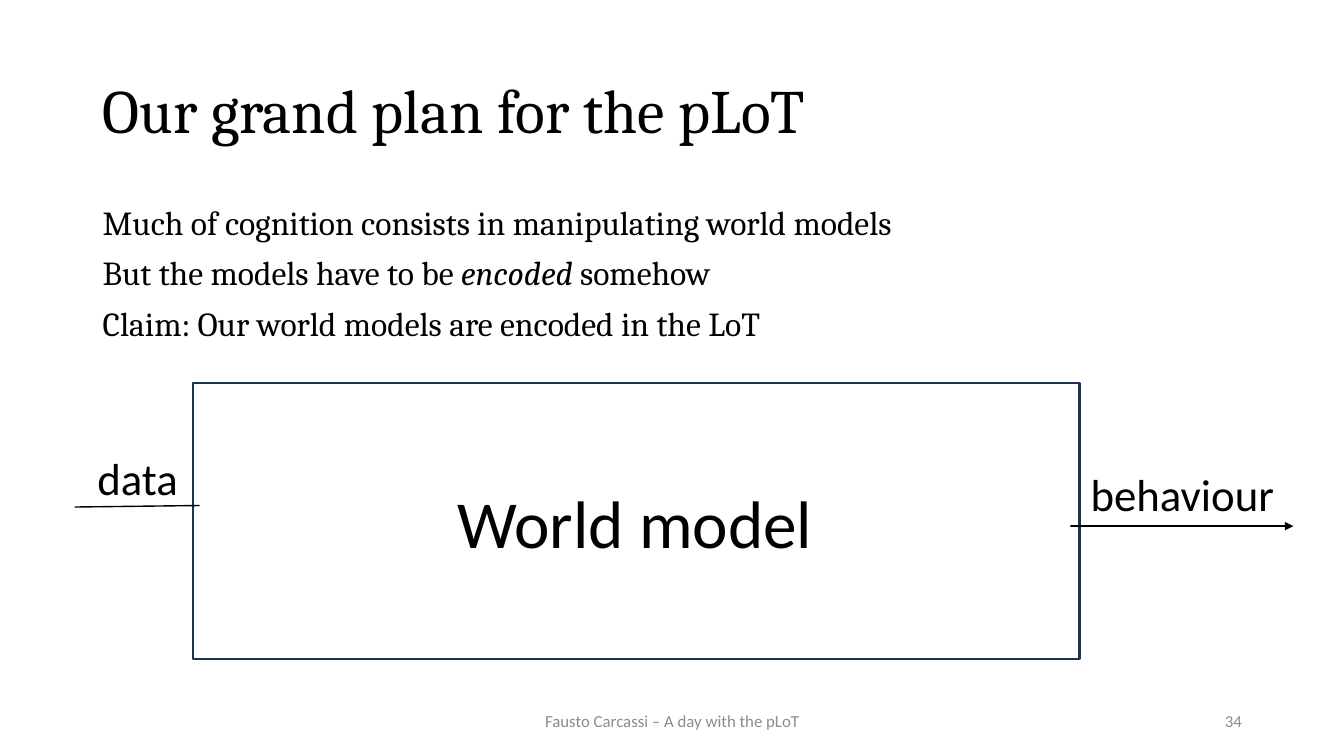
from typing import NamedTuple, Optional

from lxml.etree import SubElement
from pptx import Presentation
from pptx.dml.color import RGBColor
from pptx.enum.shapes import MSO_CONNECTOR, MSO_SHAPE
from pptx.enum.text import MSO_ANCHOR, PP_ALIGN
from pptx.oxml.ns import qn
from pptx.util import Inches, Pt

WIDTH, HEIGHT = Inches(13.33), Inches(7.5)
BLACK, GREY, NAVY, WHITE = "000000", "8C8C8C", "1E3256", "FFFFFF"
SERIF, SANS = "Cambria", "Calibri"


class Area(NamedTuple):
    """Left, top, width and height in percent of the slide."""
    left: float
    top: float
    width: float
    height: float


class Copy(NamedTuple):
    """Lines of text with one look; asterisks enclose italics."""
    area: Area
    lines: list[str]
    size: int
    font: str = SANS
    color: str = BLACK
    align: PP_ALIGN = PP_ALIGN.CENTER
    anchor: MSO_ANCHOR = MSO_ANCHOR.MIDDLE
    spacing: Optional[float] = None
    before: int = 0
    wrap: bool = True


class Arrow(NamedTuple):
    """Start and tip in percent of the slide."""
    x1: float
    y1: float
    x2: float
    y2: float


HEADING = Copy(Area(6.9, 5.33, 86.25, 19.33), ["Our grand plan for the pLoT"],
               44, SERIF, align=PP_ALIGN.LEFT, spacing=0.9)
FOOTER = Copy(Area(33.15, 92.67, 33.75, 5.33),
              ["Fausto Carcassi – A day with the pLoT"], 12, color=GREY)
PAGE_NUMBER = Copy(Area(70.65, 92.67, 22.5, 5.33), ["34"], 12, color=GREY,
                   align=PP_ALIGN.RIGHT)
FRAME = Area(14.33, 50.67, 66, 36.53)
DATA_ARROW = Arrow(5.55, 67.07, 18.15, 66.8)
DATA = Copy(Area(6.45, 58.93, 7.58, 8.53), ["data"], 32,
            anchor=MSO_ANCHOR.TOP, wrap=False)
BEHAVIOUR_ARROW = Arrow(79.05, 69.6, 96.23, 69.6)
BEHAVIOUR = Copy(Area(80.33, 61.07, 15.3, 8.53), ["behaviour"], 32,
                 anchor=MSO_ANCHOR.TOP, wrap=False)
WORLD_MODEL = Copy(Area(14.85, 51.47, 64.8, 35.07), ["World model"], 48)
CLAIMS = Copy(Area(6.9, 26.67, 86.25, 21.33), [
    "Much of cognition consists in manipulating world models",
    "But the models have to be *encoded *somehow",
    "Claim: Our world models are encoded in the LoT",
], 24, SERIF, align=PP_ALIGN.LEFT, anchor=MSO_ANCHOR.TOP, spacing=0.9, before=10)


def rgb(color: str) -> RGBColor:
    return RGBColor.from_string(color)


def across(percent: float) -> int:
    return round(WIDTH * percent / 100)


def down(percent: float) -> int:
    return round(HEIGHT * percent / 100)


def emu(area: Area) -> tuple[int, int, int, int]:
    return across(area.left), down(area.top), across(area.width), down(area.height)


def write(frame, copy: Copy) -> None:
    frame.word_wrap = copy.wrap
    frame.vertical_anchor = copy.anchor
    for index, line in enumerate(copy.lines):
        paragraph = frame.add_paragraph() if index else frame.paragraphs[0]
        paragraph.alignment = copy.align
        paragraph.line_spacing = copy.spacing
        paragraph.space_before = Pt(copy.before)
        paragraph.font.size = Pt(copy.size)
        paragraph.font.name = copy.font
        paragraph.font.color.rgb = rgb(copy.color)
        for part, words in enumerate(line.split("*")):
            run = paragraph.add_run()
            run.text = words
            if part % 2:
                run.font.italic = True


def add_copy(slide, copy: Copy) -> None:
    write(slide.shapes.add_textbox(*emu(copy.area)).text_frame, copy)


def add_box(slide, area: Area, fill: Optional[str] = None,
            outline: Optional[str] = None):
    box = slide.shapes.add_shape(MSO_SHAPE.RECTANGLE, *emu(area))
    box.shadow.inherit = False
    if fill:
        box.fill.solid()
        box.fill.fore_color.rgb = rgb(fill)
    else:
        box.fill.background()
    if outline:
        box.line.color.rgb = rgb(outline)
        box.line.width = Pt(1.5)
    else:
        box.line.fill.background()
    return box


def add_arrow(slide, arrow: Arrow) -> None:
    connector = slide.shapes.add_connector(
        MSO_CONNECTOR.STRAIGHT, across(arrow.x1), down(arrow.y1),
        across(arrow.x2), down(arrow.y2))
    connector.line.color.rgb = rgb(BLACK)
    connector.line.width = Pt(1)
    SubElement(connector.line._get_or_add_ln(), qn("a:tailEnd"), type="triangle")
    SubElement(connector._element.spPr, qn("a:effectLst"))


def main() -> None:
    deck = Presentation()
    deck.slide_width, deck.slide_height = WIDTH, HEIGHT
    slide = deck.slides.add_slide(deck.slide_layouts[6])
    for copy in (HEADING, FOOTER, PAGE_NUMBER):
        add_copy(slide, copy)
    add_box(slide, FRAME, outline=NAVY)
    for arrow, label in ((DATA_ARROW, DATA), (BEHAVIOUR_ARROW, BEHAVIOUR)):
        add_arrow(slide, arrow)
        add_copy(slide, label)
    # The opaque box covers the tip of the data arrow.
    model = add_box(slide, WORLD_MODEL.area, fill=WHITE)
    write(model.text_frame, WORLD_MODEL)
    add_copy(slide, CLAIMS)
    deck.save("out.pptx")


if __name__ == "__main__":
    main()
